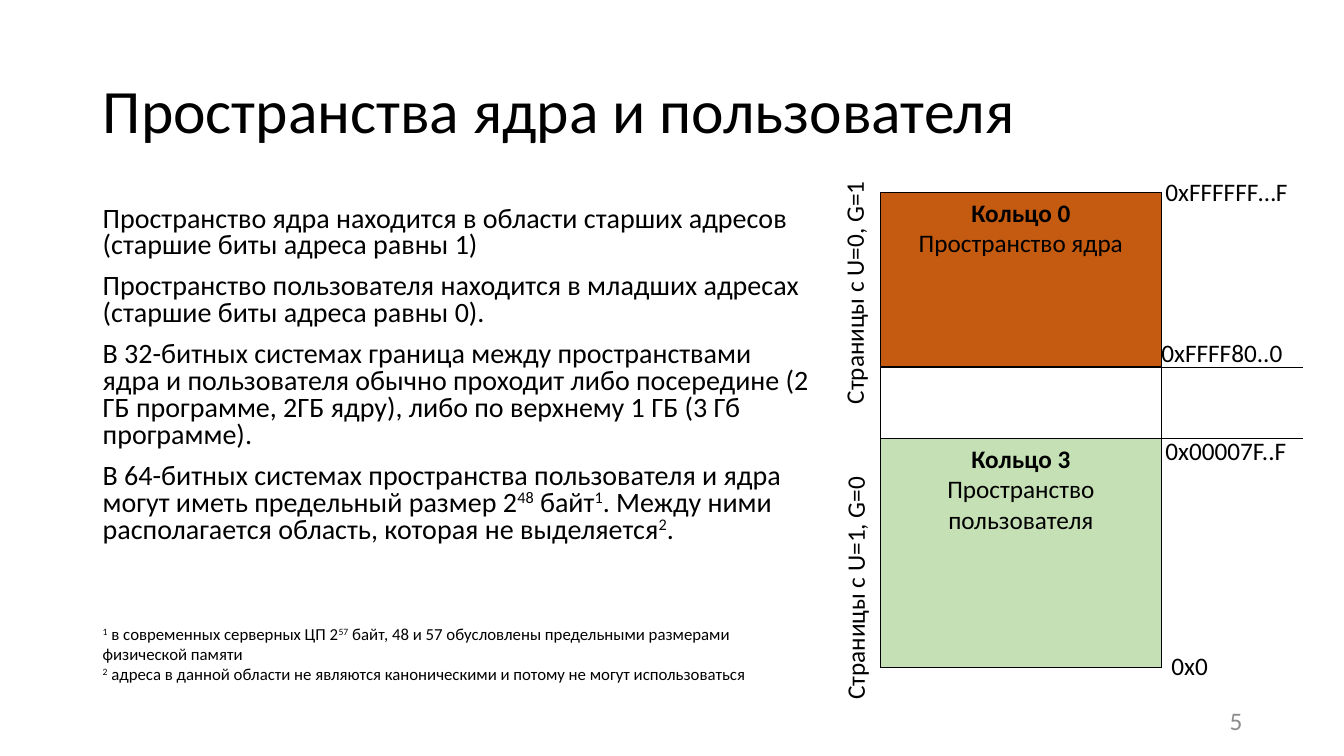
from dataclasses import dataclass

import pptx
import pptx.util
from lxml import etree
from pptx.dml.color import RGBColor
from pptx.enum.shapes import MSO_CONNECTOR, MSO_SHAPE
from pptx.enum.text import MSO_ANCHOR, MSO_AUTO_SIZE, PP_ALIGN
from pptx.oxml.ns import qn

PX = 9144  # 100 px to the inch
FONT = "Calibri"
BLACK = RGBColor(0x00, 0x00, 0x00)
WHITE = RGBColor(0xFF, 0xFF, 0xFF)
GREY = RGBColor(0x8C, 0x8C, 0x8C)
RUST = RGBColor(0xC5, 0x5A, 0x11)
GREEN = RGBColor(0xC5, 0xE0, 0xB4)

MAP_X, MAP_W, MAP_TOP, MAP_END = 873, 279, 191, 662
KERNEL_END, USER_TOP = 364, 435
RULE_END = 1292
LABEL_H = 40


@dataclass(frozen=True)
class Box:
    x: int
    y: int
    w: int
    h: int

    def emu(self) -> tuple[int, int, int, int]:
        return self.x * PX, self.y * PX, self.w * PX, self.h * PX


@dataclass(frozen=True)
class Style:
    size: int = 18
    color: RGBColor = BLACK
    align: PP_ALIGN = PP_ALIGN.LEFT
    lead: float = 1.0
    gap: int = 0
    head: bool = False


@dataclass(frozen=True)
class Label:
    text: str
    box: Box
    turn: int = 0


@dataclass(frozen=True)
class Zone:
    top: int
    end: int
    fill: RGBColor
    lines: tuple[str, ...] = ()


TITLE = "Пространства ядра и пользователя"
BODY = (
    "Пространство ядра находится в области старших адресов (старшие биты адреса равны 1)",
    "Пространство пользователя находится в младших адресах (старшие биты адреса равны 0).",
    "В 32-битных системах граница между пространствами ядра и пользователя обычно "
    "проходит либо посередине (2 ГБ программе, 2ГБ ядру), либо по верхнему 1 ГБ "
    "(3 Гб программе).",
    "В 64-битных системах пространства пользователя и ядра могут иметь предельный "
    "размер 2^48^ байт^1^. Между ними располагается область, которая не выделяется^2^.",
)
NOTES = (
    "^1^ в современных серверных ЦП 2^57^ байт, 48 и 57 обусловлены предельными "
    "размерами физической памяти",
    "^2^ адреса в данной области не являются каноническими и потому не могут "
    "использоваться",
)
ZONES = (
    Zone(MAP_TOP, MAP_END, WHITE),
    Zone(MAP_TOP, KERNEL_END, RUST, ("Кольцо 0", "Пространство ядра")),
    Zone(USER_TOP, MAP_END, GREEN, ("Кольцо 3", "Пространство пользователя")),
)
LABELS = (
    Label("Страницы с U=1, G=0", Box(726, 562, 244, LABEL_H), 270),
    Label("Страницы с U=0, G=1", Box(725, 269, 244, LABEL_H), 270),
    Label("0x0", Box(1152, 640, 57, LABEL_H)),
    Label("0xFFFFFF…F", Box(1146, 170, 142, LABEL_H)),
    Label("0xFFFF80..0", Box(1142, 330, 141, LABEL_H)),
    Label("0x00007F..F", Box(1146, 427, 141, LABEL_H)),
)


def write(frame, lines: tuple[str, ...], style: Style) -> None:
    """Fill a text frame; parts between carets are superscript."""
    for i, line in enumerate(lines):
        para = frame.paragraphs[0] if i == 0 else frame.add_paragraph()
        para.alignment = style.align
        para.line_spacing = style.lead
        para.space_before = pptx.util.Pt(style.gap if i else 0)
        for j, part in enumerate(line.split("^")):
            if not part:
                continue
            run = para.add_run()
            run.text = part
            font = run.font
            font.name = FONT
            font.size = pptx.util.Pt(style.size)
            font.color.rgb = style.color
            font.bold = style.head and i == 0
            if j % 2:
                run._r.get_or_add_rPr().set("baseline", "30000")


def add_text(slide, box: Box, lines: tuple[str, ...], style: Style, wrap: bool = True):
    shape = slide.shapes.add_textbox(*box.emu())
    shape.text_frame.word_wrap = wrap
    write(shape.text_frame, lines, style)
    return shape


def add_label(slide, label: Label) -> None:
    shape = add_text(slide, label.box, (label.text,), Style(), wrap=False)
    shape.text_frame.auto_size = MSO_AUTO_SIZE.SHAPE_TO_FIT_TEXT
    shape.rotation = label.turn


def add_zone(slide, zone: Zone) -> None:
    box = Box(MAP_X, zone.top, MAP_W, zone.end - zone.top)
    shape = slide.shapes.add_shape(MSO_SHAPE.RECTANGLE, *box.emu())
    shape.shadow.inherit = False
    shape.fill.solid()
    shape.fill.fore_color.rgb = zone.fill
    shape.line.color.rgb = BLACK
    shape.line.width = pptx.util.Pt(1)
    shape.text_frame.vertical_anchor = MSO_ANCHOR.TOP
    write(shape.text_frame, zone.lines, Style(align=PP_ALIGN.CENTER, head=True))


def add_rule(slide, y: int) -> None:
    rule = slide.shapes.add_connector(
        MSO_CONNECTOR.STRAIGHT, MAP_X * PX, y * PX, RULE_END * PX, y * PX
    )
    rule.line.color.rgb = BLACK
    rule.line.width = pptx.util.Pt(0.5)
    etree.SubElement(rule._element.spPr, qn("a:effectLst"))


def set_title(slide) -> None:
    title = slide.shapes.title
    title.left, title.top, title.width, title.height = Box(92, 40, 1150, 145).emu()
    frame = title.text_frame
    frame.auto_size = MSO_AUTO_SIZE.NONE
    frame.vertical_anchor = MSO_ANCHOR.MIDDLE
    write(frame, (TITLE,), Style(size=44, lead=0.9))


def main() -> None:
    deck = pptx.Presentation()
    deck.slide_width, deck.slide_height = 1333 * PX, 750 * PX
    slide = deck.slides.add_slide(deck.slide_layouts.get_by_name("Title Only"))
    set_title(slide)
    page = add_text(
        slide, Box(942, 695, 300, 40), ("5",), Style(color=GREY, align=PP_ALIGN.RIGHT)
    )
    page.text_frame.vertical_anchor = MSO_ANCHOR.MIDDLE
    add_text(slide, Box(92, 200, 722, 365), BODY, Style(size=20, lead=0.8, gap=10))
    for zone in ZONES:
        add_zone(slide, zone)
    for label in LABELS:
        add_label(slide, label)
    for y in (USER_TOP, KERNEL_END):
        add_rule(slide, y)
    add_text(slide, Box(92, 614, 722, 71), NOTES, Style(size=12))
    deck.save("out.pptx")


if __name__ == "__main__":
    main()
